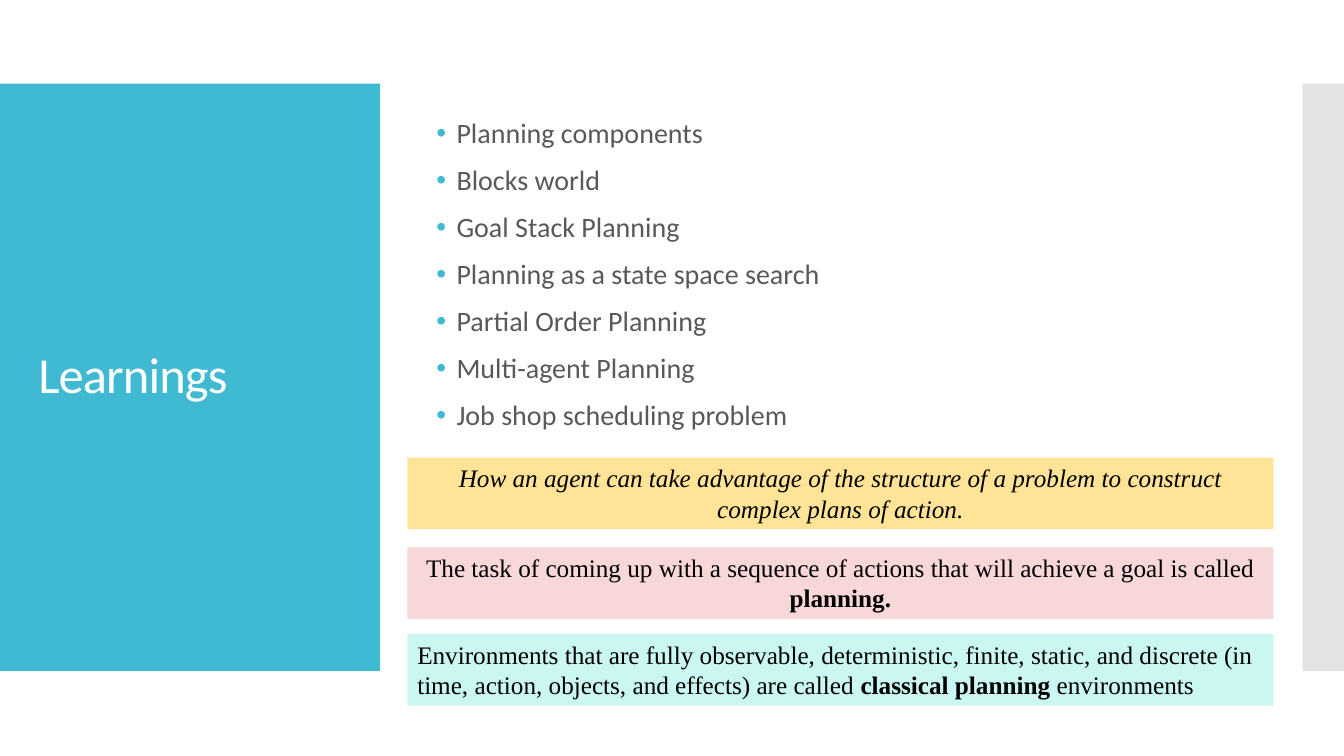
"""Build the Learnings slide about planning."""
from lxml.etree import SubElement
from pptx import Presentation
from pptx.dml.color import RGBColor
from pptx.enum.shapes import MSO_SHAPE
from pptx.enum.text import MSO_ANCHOR, MSO_AUTO_SIZE, PP_ALIGN
from pptx.oxml.ns import qn
from pptx.util import Pt

EMU_PER_PX = 9144
TEAL = "40BAD2"
TOPICS = [
    "Planning components",
    "Blocks world",
    "Goal Stack Planning",
    "Planning as a state space search",
    "Partial Order Planning",
    "Multi-agent Planning",
    "Job shop scheduling problem",
]
STATEMENTS = [
    (454, "FFE497", PP_ALIGN.CENTER, [
        ("How an agent can take advantage of the structure of a problem "
         "to construct complex plans of action.", "italic")]),
    (543, "F7D7D8", PP_ALIGN.CENTER, [
        ("The task of coming up with a sequence of actions that will "
         "achieve a goal is called ", ""),
        ("planning.", "bold")]),
    (629, "CAF7F1", PP_ALIGN.LEFT, [
        ("Environments that are fully observable, deterministic, finite, "
         "static, and discrete (in time, action, objects, and effects) "
         "are called ", ""),
        ("classical planning ", "bold"),
        ("environments", "")]),
]


def px(*lengths):
    """Turn whole px lengths into EMU."""
    return [length * EMU_PER_PX for length in lengths]


def rgb(code):
    """Turn a hex string into a colour."""
    return RGBColor.from_string(code)


class LearningsSlide:
    """Hold the style and the slide, and draw each kind of element."""

    heading_font = "Calibri"
    statement_font = "Times New Roman"

    def __init__(self, presentation):
        """Add a title-only slide."""
        self.slide = presentation.slides.add_slide(presentation.slide_layouts[5])
        self.shapes = self.slide.shapes

    def style(self, run, font, size, color):
        """Set the font, size and colour of a run."""
        run.font.name = font
        run.font.size = Pt(size)
        run.font.color.rgb = rgb(color)

    def panel(self, box, color, opacity=100):
        """Draw a plain filled rectangle."""
        panel = self.shapes.add_shape(MSO_SHAPE.RECTANGLE, *px(*box))
        panel.shadow.inherit = False
        panel.fill.solid()
        panel.fill.fore_color.rgb = rgb(color)
        panel.line.fill.background()
        if opacity < 100:
            tint = panel.element.spPr.find(qn("a:solidFill"))[0]
            SubElement(tint, qn("a:alpha"), val=str(opacity * 1000))
        return panel

    def title(self, box, text):
        """Place the title in front of its panel."""
        title = self.shapes.title
        title.left, title.top, title.width, title.height = px(*box)
        self.shapes.element.append(title.element)
        frame = title.text_frame
        frame.text = text
        frame.word_wrap = True
        frame.auto_size = MSO_AUTO_SIZE.NONE
        frame.vertical_anchor = MSO_ANCHOR.MIDDLE
        heading = frame.paragraphs[0]
        heading.alignment = PP_ALIGN.LEFT
        heading.line_spacing = 0.9
        self.style(heading.runs[0], self.heading_font, 36, "FFFFFF")
        heading.runs[0].font._element.set("spc", "-60")

    def bullets(self, box, items):
        """Write a bulleted list."""
        frame = self.shapes.add_textbox(*px(*box)).text_frame
        frame.word_wrap = True
        frame.vertical_anchor = MSO_ANCHOR.MIDDLE
        frame.text = "\n".join(items)
        indent = px(20)[0]
        for item in frame.paragraphs:
            item.line_spacing = 0.9
            item.space_before = Pt(12)
            self.style(item.runs[0], self.heading_font, 20, "595959")
            properties = item._p.get_or_add_pPr()
            properties.set("marL", str(indent))
            properties.set("indent", str(-indent))
            bullet_color = SubElement(properties, qn("a:buClr"))
            SubElement(bullet_color, qn("a:srgbClr"), val=TEAL)
            SubElement(properties, qn("a:buFont"), typeface="Arial")
            SubElement(properties, qn("a:buChar"), char="•")

    def statement(self, box, color, alignment, parts):
        """Write a statement on a coloured band."""
        frame = self.panel(box, color).text_frame
        frame.word_wrap = True
        frame.auto_size = MSO_AUTO_SIZE.SHAPE_TO_FIT_TEXT
        frame.vertical_anchor = MSO_ANCHOR.TOP
        sentence = frame.paragraphs[0]
        sentence.alignment = alignment
        for text, emphasis in parts:
            run = sentence.add_run()
            run.text = text
            self.style(run, self.statement_font, 18, "000000")
            run.font.bold = emphasis == "bold"
            run.font.italic = emphasis == "italic"


def main():
    """Build and save the presentation."""
    presentation = Presentation()
    presentation.slide_width, presentation.slide_height = px(1333, 750)
    learnings = LearningsSlide(presentation)
    learnings.panel((0, 83, 377, 583), TEAL)
    learnings.panel((1292, 83, 41, 583), "C8C8C8", opacity=50)
    learnings.title((28, 123, 322, 503), "Learnings")
    learnings.bullets((423, 94, 800, 359), TOPICS)
    for top, color, alignment, parts in STATEMENTS:
        learnings.statement((404, top, 859, 71), color, alignment, parts)
    presentation.save("out.pptx")


if __name__ == "__main__":
    main()
